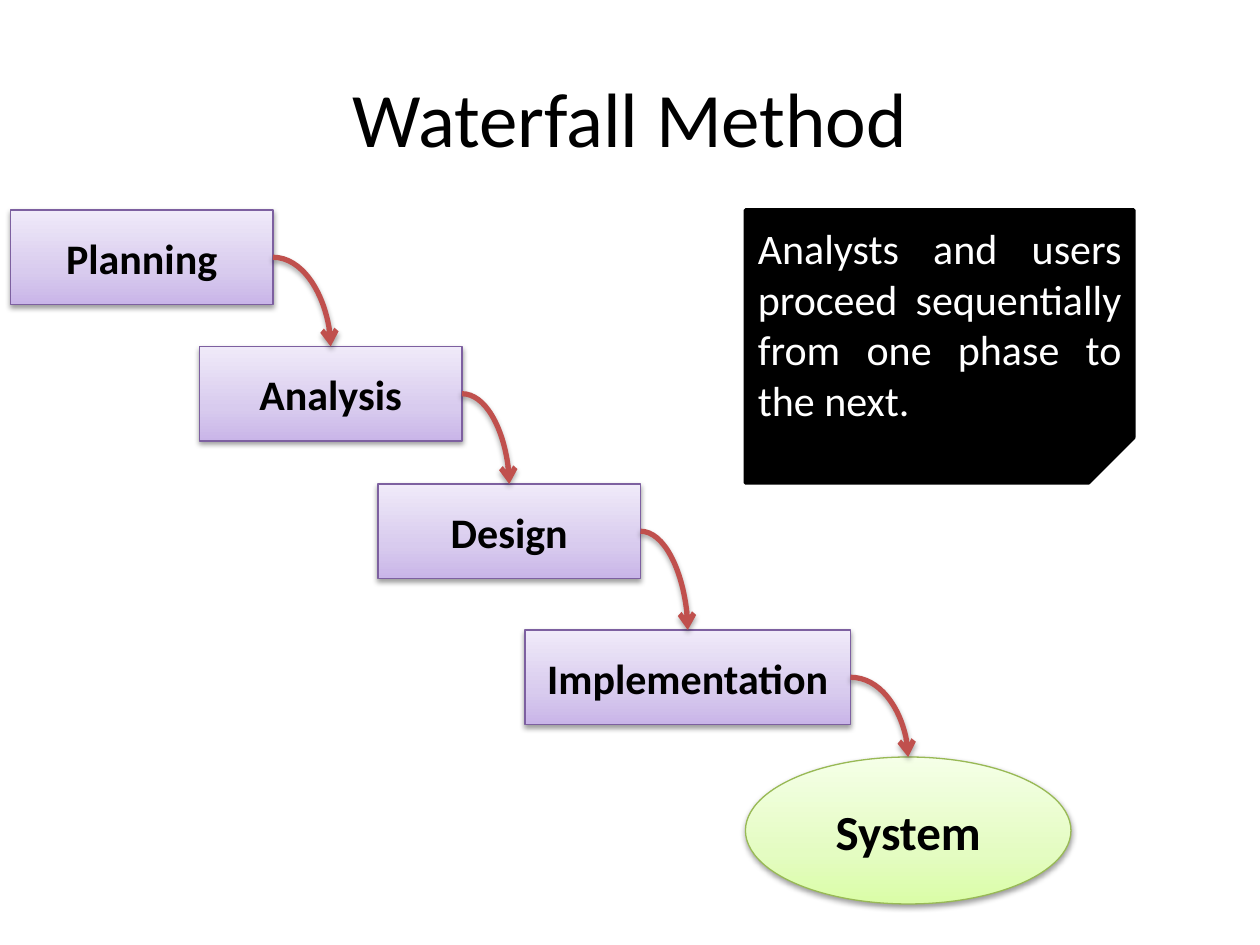
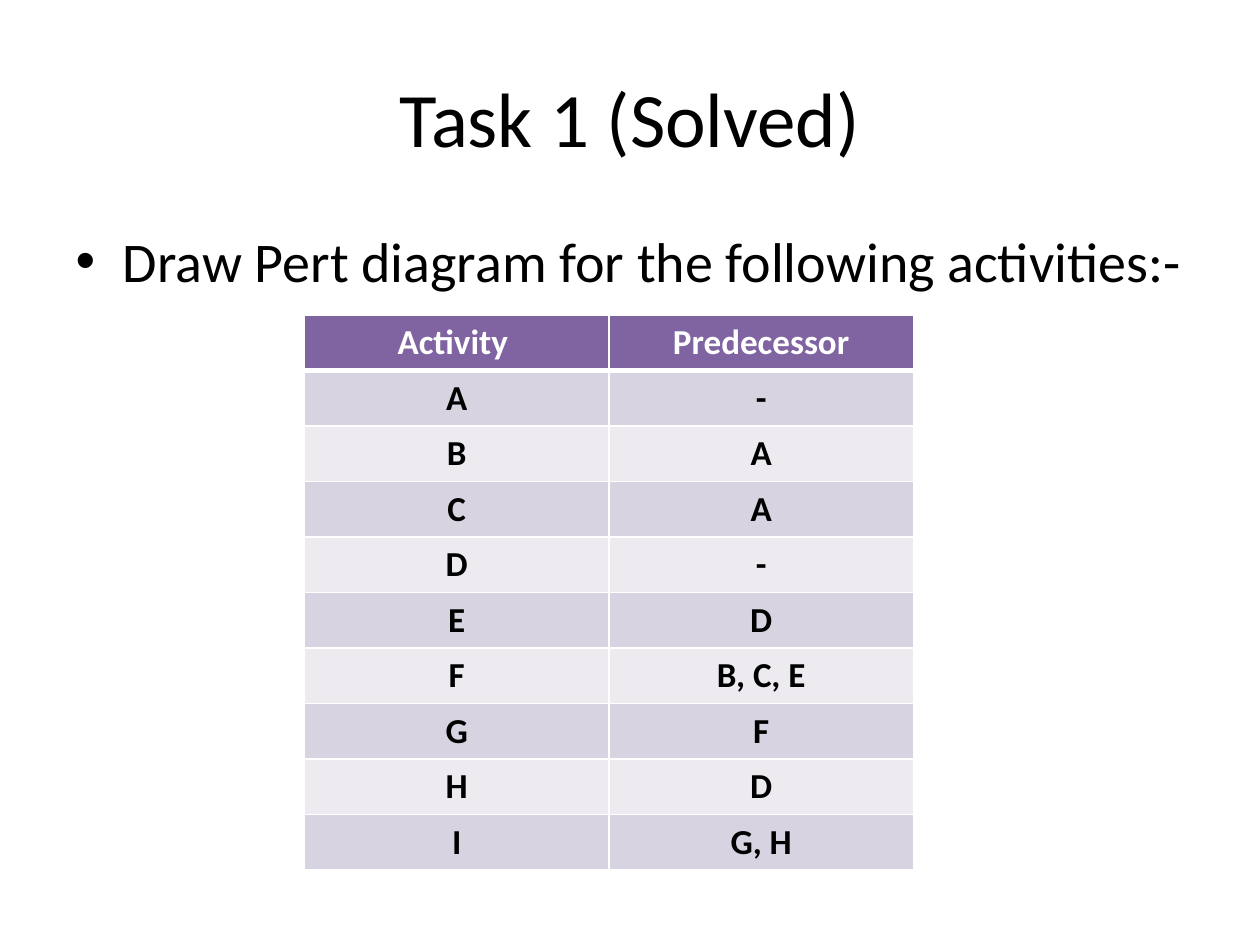
from copy import deepcopy
from itertools import pairwise

from lxml.etree import SubElement as Sub
from pptx import Presentation
from pptx.dml.color import RGBColor
from pptx.enum.shapes import MSO_CONNECTOR as Link, MSO_SHAPE as Shape
from pptx.enum.text import MSO_ANCHOR as Anchor, PP_ALIGN as Align
from pptx.oxml.ns import qn
from pptx.util import Pt

PX = 7620  # 120 px to the inch
FONT = "Calibri"
BLACK, WHITE, RED = "000000", "FFFFFF", "C0504D"
HEAD, BANDS = "8064A2", ("D8D3E0", "EDEAF0")
PURPLE = ("7D60A0", ("C9B5E8", "D8CBEE", "F0EAF9"))
GREEN = ("98B955", ("DAFDA7", "E4FCC2", "F5FFE7"))
TITLE_BOX = (60, 36, 1080, 150)

STEPS = [
    ("Planning", (10, 200, 250, 90)),
    ("Analysis", (190, 330, 250, 90)),
    ("Design", (360, 461, 250, 90)),
    ("Implementation", (500, 600, 310, 90)),
]
TASKS = [
    ("Activity ", "Predecessor"),
    ("A", "-"), ("B", "A"), ("C", "A"), ("D", "-"), ("E", "D"),
    ("F", "B, C, E"), ("G", "F"), ("H", "D"), ("I", "G, H"),
]


def rgb(code):
    return RGBColor.from_string(code)


def emu(box):
    return [n * PX for n in box]


def write(frame, text, size, color=BLACK, bold=False, align=Align.CENTER):
    frame.word_wrap = True
    frame.text = text
    para = frame.paragraphs[0]
    para.alignment = align
    para.space_before = Pt(0)
    font = para.font
    font.name, font.size, font.bold = FONT, Pt(size), bold
    font.color.rgb = rgb(color)


def place(holder, box):
    holder.left, holder.top, holder.width, holder.height = emu(box)


def new_slide(deck, layout, title):
    slide = deck.slides.add_slide(deck.slide_layouts[layout])
    place(slide.shapes.title, TITLE_BOX)
    write(slide.shapes.title.text_frame, title, 44)
    return slide


def solid(parent, color):
    fill = Sub(parent, qn("a:solidFill"))
    return Sub(fill, qn("a:srgbClr"), val=color)


def shade(props, dist, alpha):
    """Cast a soft shadow straight down."""
    effects = props.find(qn("a:effectLst"))
    if effects is None:
        effects = Sub(props, qn("a:effectLst"))
    outer = Sub(effects, qn("a:outerShdw"), blurRad="40000", dist=str(dist),
                dir="5400000", rotWithShape="0")
    tint = Sub(outer, qn("a:srgbClr"), val=BLACK)
    Sub(tint, qn("a:alpha"), val=str(alpha * 1000))


def blend(shape, colors):
    """Fill upwards through three colours."""
    fill = shape.fill
    fill.gradient()
    fill.gradient_angle = 90
    stops = shape._element.spPr.find(".//" + qn("a:gsLst"))
    stops.append(deepcopy(stops[0]))
    for stop, color, pos in zip(fill.gradient_stops, colors, (0, 0.35, 1)):
        stop.color.rgb = rgb(color)
        stop.position = pos


def phase(slide, kind, box, text, size, look):
    edge, colors = look
    shape = slide.shapes.add_shape(kind, *emu(box))
    blend(shape, colors)
    shape.line.color.rgb = rgb(edge)
    shape.line.width = Pt(0.75)
    shape.shadow.inherit = False
    shade(shape._element.spPr, 20000, 38)
    shape.text_frame.vertical_anchor = Anchor.MIDDLE
    write(shape.text_frame, text, size, bold=True)
    return shape


def arrow(slide, start, end):
    """Curve from the right side of one phase to the top of the next."""
    curve = slide.shapes.add_connector(Link.CURVE, 0, 0, 0, 0)
    curve.begin_connect(start, 3)
    curve.end_connect(end, 0)
    curve.line.color.rgb = rgb(RED)
    curve.line.width = Pt(3)
    props = curve._element.spPr
    props.find(qn("a:prstGeom")).set("prst", "curvedConnector2")
    Sub(props.find(qn("a:ln")), qn("a:tailEnd"), type="arrow")
    shade(props, 23000, 35)


def note(slide, box, text):
    shape = slide.shapes.add_shape(Shape.FOLDED_CORNER, *emu(box))
    shape.shadow.inherit = False
    shape.fill.solid()
    shape.fill.fore_color.rgb = rgb(BLACK)
    shape.line.color.rgb = rgb(BLACK)
    shape.line.width = Pt(2)
    shape.text_frame.vertical_anchor = Anchor.MIDDLE
    write(shape.text_frame, text, 24, WHITE, align=Align.JUSTIFY)


def frame_cell(cell, top, bottom):
    """Draw white borders, one point wide at the sides."""
    props = cell._tc.get_or_add_tcPr()
    for side, width in zip("LRTB", (1, 1, top, bottom)):
        solid(Sub(props, qn("a:ln" + side), w=str(Pt(width))), WHITE)


def grid(slide, box, rows):
    table = slide.shapes.add_table(len(rows), len(rows[0]), *emu(box)).table
    for i, row in enumerate(rows):
        back, ink = (BANDS[(i - 1) % 2], BLACK) if i else (HEAD, WHITE)
        for j, text in enumerate(row):
            cell = table.cell(i, j)
            frame_cell(cell, 3 if i == 1 else 1, 1 if i else 3)
            cell.fill.solid()
            cell.fill.fore_color.rgb = rgb(back)
            write(cell.text_frame, text, 20, ink, True)


def waterfall(deck):
    slide = new_slide(deck, 5, "Waterfall Method")
    chain = [phase(slide, Shape.RECTANGLE, box, text, 24, PURPLE)
             for text, box in STEPS]
    chain.append(phase(slide, Shape.OVAL, (710, 721, 310, 140),
                       "System", 28, GREEN))
    for start, end in pairwise(chain):
        arrow(slide, start, end)
    note(slide, (710, 200, 370, 260), "Analysts and users proceed "
         "sequentially from one phase to the next.")


def task(deck):
    slide = new_slide(deck, 1, "Task 1 (Solved)")
    body = slide.placeholders[1]
    place(body, (60, 210, 1080, 594))
    write(body.text_frame, "Draw Pert diagram for the following activities:-",
          32, align=Align.LEFT)
    grid(slide, (290, 300, 580, 520), TASKS)


def main():
    deck = Presentation()
    deck.slide_width, deck.slide_height = emu((1200, 900))
    waterfall(deck)
    task(deck)
    deck.save("out.pptx")


if __name__ == "__main__":
    main()
